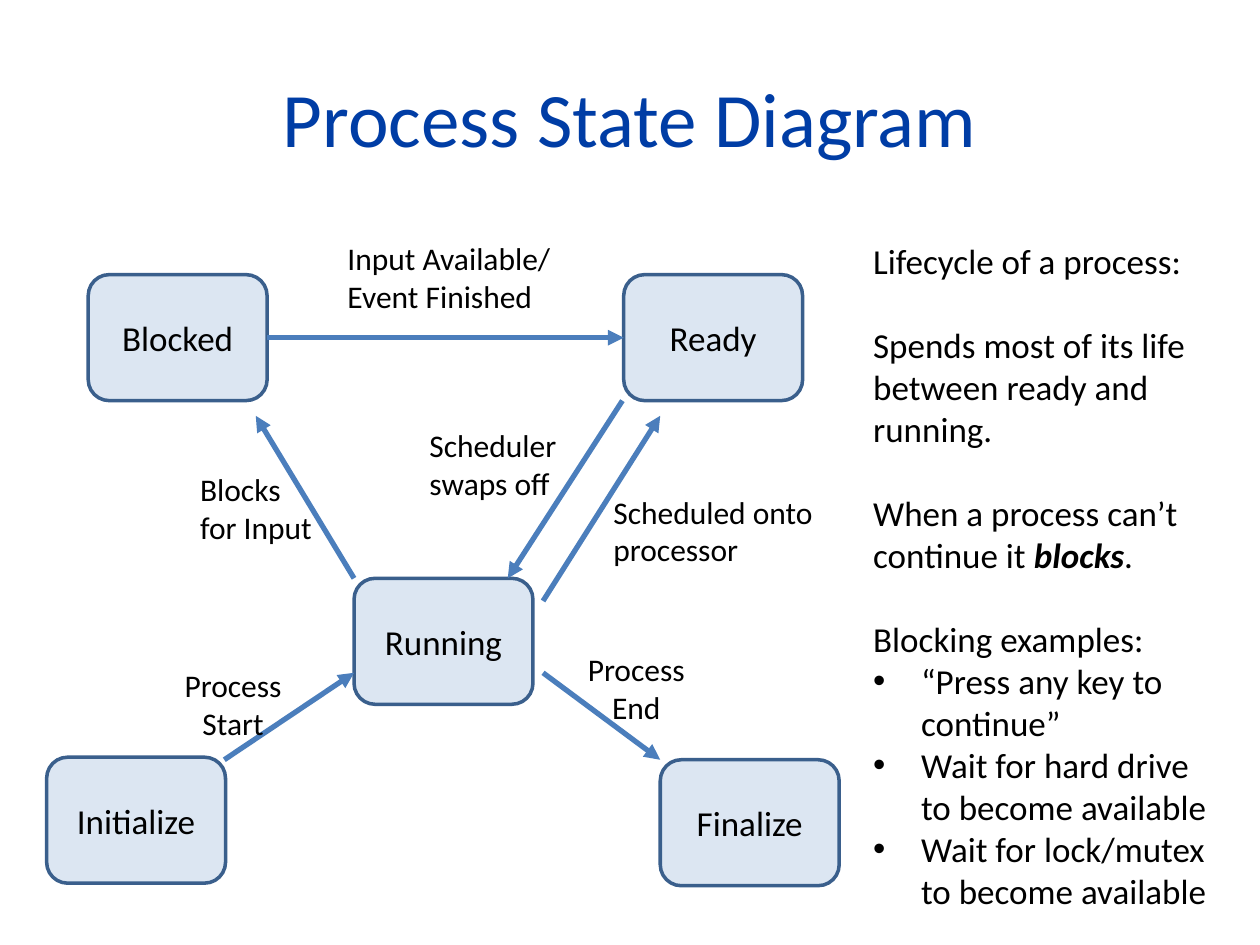
"""Build the process state diagram slide."""
from lxml import etree
from pptx import Presentation
from pptx import util as u
from pptx.dml.color import RGBColor
from pptx.enum import shapes, text
from pptx.oxml.ns import qn


def style(p, size, color="000000", align=text.PP_ALIGN.LEFT):
    p.alignment = align
    for r in p.runs:
        r.font.name, r.font.size = "Calibri", u.Pt(size)
        r.font.color.rgb = RGBColor.from_string(color)


def inches(*lengths):
    return [u.Inches(n) for n in lengths]


LEFT, CENTER = text.PP_ALIGN.LEFT, text.PP_ALIGN.CENTER
NODE_W, NODE_H = 1.42, 1
NODES = {
    "Blocked": (0.7, 2.18),
    "Ready": (4.95, 2.18),
    "Running": (2.81, 4.59),
    "Initialize": (0.37, 6.01),
    "Finalize": (5.24, 6.03),
}
ARROWS = [
    (2.12, 2.68, 4.95, 2.68),
    (2.81, 4.59, 2.03, 3.3),
    (1.78, 6.03, 2.81, 5.34),
    (4.31, 5.34, 5.24, 6.03),
    (4.31, 4.77, 5.24, 3.3),
    (4.94, 3.18, 4.03, 4.59),
]
LABELS = [
    ("Input Available/\vEvent Finished", 2.66, 1.85, 1.83, LEFT),
    ("Process\vStart", 1.36, 5.24, 0.98, CENTER),
    ("Process\vEnd", 4.56, 5.11, 0.98, CENTER),
    ("Blocks\vfor Input", 1.49, 3.68, 1.1, LEFT),
    ("Scheduled onto\vprocessor", 4.77, 3.86, 1.8, LEFT),
    ("Scheduler\vswaps off", 3.31, 3.33, 1.22, LEFT),
]
NOTES = [
    "Lifecycle of a process:",
    "Spends most of its life\vbetween ready and\vrunning.",
    "When a process can’t\vcontinue it ",
    "Blocking examples:",
]
EXAMPLES = [
    "“Press any key to\vcontinue”",
    "Wait for hard drive\vto become available",
    "Wait for lock/mutex\vto become available",
]

prs = Presentation()
prs.slide_width, prs.slide_height = inches(10, 7.5)
s = prs.slides.add_slide(prs.slide_layouts[1])

title, body = s.placeholders
title.left, title.top, title.width, title.height = inches(0.5, 0.3, 9, 1.25)
title.text_frame.text = "Process State Diagram"
title.text_frame.vertical_anchor = text.MSO_ANCHOR.MIDDLE
style(title.text_frame.paragraphs[0], 44, "003DA5", CENTER)

for name, (x, y) in NODES.items():
    sp = s.shapes.add_shape(shapes.MSO_SHAPE.ROUNDED_RECTANGLE, *inches(x, y, NODE_W, NODE_H))
    sp.shadow.inherit = False
    sp.fill.solid()
    sp.fill.fore_color.rgb = RGBColor.from_string("DCE6F2")
    sp.line.color.rgb = RGBColor.from_string("3A5F8C")
    sp.line.width = u.Pt(2)
    sp.text_frame.text = name
    sp.text_frame.vertical_anchor = text.MSO_ANCHOR.MIDDLE
    style(sp.text_frame.paragraphs[0], 20, align=CENTER)

for ends in ARROWS:
    cn = s.shapes.add_connector(shapes.MSO_CONNECTOR.STRAIGHT, *inches(*ends))
    cn.line.color.rgb = RGBColor.from_string("4B7EBC")
    cn.line.width = u.Pt(3)
    etree.SubElement(cn.line._get_or_add_ln(), qn("a:tailEnd"), type="triangle")
    etree.SubElement(cn._element.spPr, qn("a:effectLst"))

for label, x, y, w, align in LABELS:
    tf = s.shapes.add_textbox(*inches(x, y, w, 0.71)).text_frame
    tf.word_wrap = False
    tf.text = label
    style(tf.paragraphs[0], 18, align=align)

body.left, body.top, body.width, body.height = inches(6.83, 1.85, 2.95, 5.49)
tf = body.text_frame
tf.auto_size = text.MSO_AUTO_SIZE.NONE
for i, line in enumerate(NOTES + EXAMPLES):
    p = tf.paragraphs[0] if i == 0 else tf.add_paragraph()
    p.text = line
    pPr = p._p.get_or_add_pPr()
    if line in EXAMPLES:
        pPr.set("marL", str(u.Inches(0.38)))
        pPr.set("indent", str(-u.Inches(0.38)))
        etree.SubElement(pPr, qn("a:buFont"), typeface="Arial")
        etree.SubElement(pPr, qn("a:buChar"), char="•")
    else:
        pPr.set("marL", "0")
        pPr.set("indent", "0")
        etree.SubElement(pPr, qn("a:buNone"))
    p.space_before = u.Pt(24 if 0 < i < len(NOTES) else 0)
    if line.endswith("continue it "):
        r = p.add_run()
        r.text = "blocks"
        r.font.bold = r.font.italic = True
        p.add_run().text = "."
    style(p, 20)

prs.save("out.pptx")
